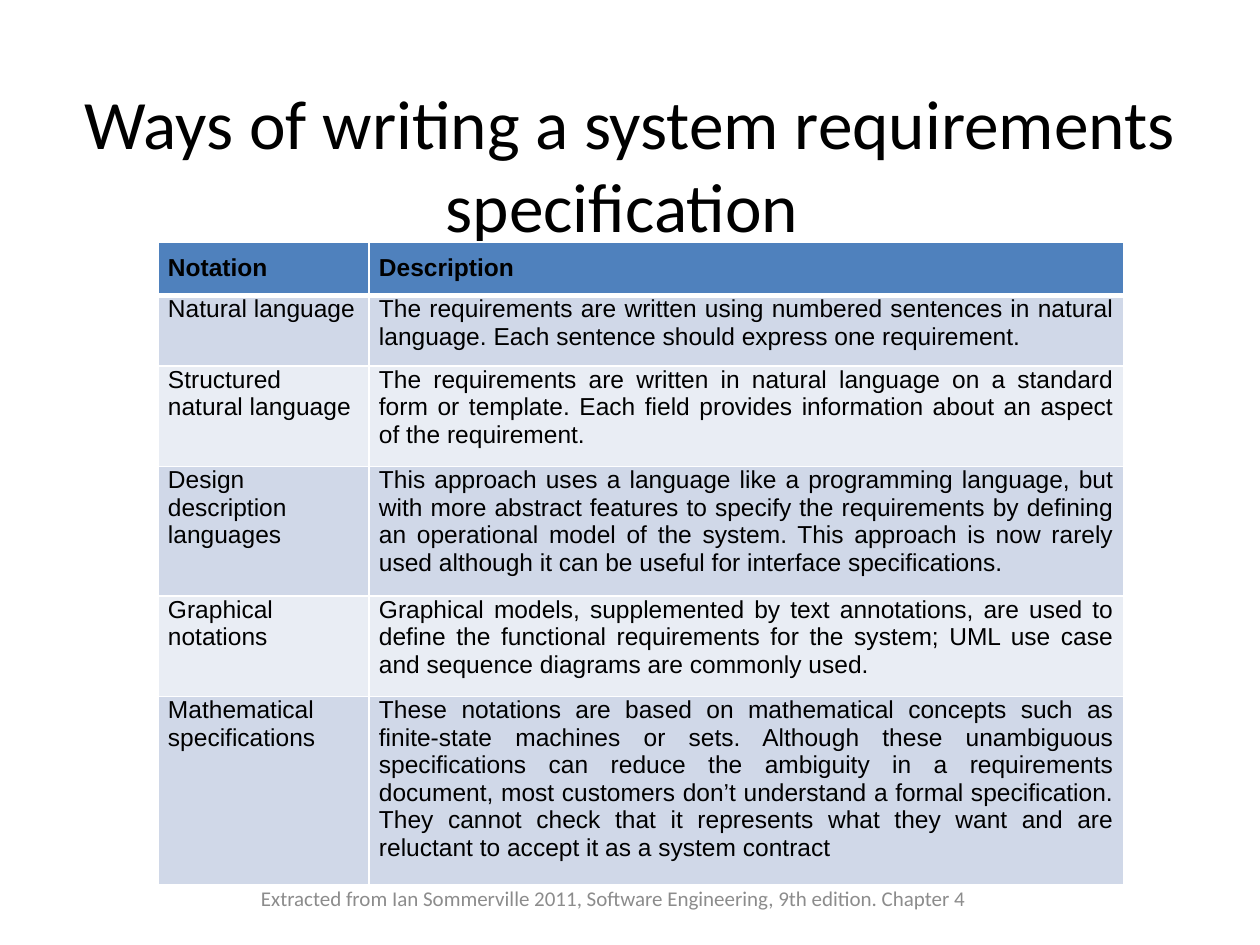
from dataclasses import dataclass

from lxml import etree
from pptx import Presentation
from pptx.dml.color import RGBColor
from pptx.enum import text
from pptx.oxml import ns
from pptx.util import Pt

SCALE = 914400 // 126


@dataclass(frozen=True)
class Theme:
    ink: str = "000000"
    muted: str = "8C8C8C"
    header: str = "4F81BD"
    bands: tuple = ("D0D8E8", "E9EDF4")
    rule: str = "FFFFFF"
    heading_font: str = "Calibri"
    table_font: str = "Arial"
    title_size: float = 39.6
    table_size: float = 14
    source_size: float = 12
    thin: float = 1
    thick: float = 3


THEME = Theme()

NOTATIONS = [
    ("Notation", "Description"),
    ("Natural language",
     "The requirements are written using numbered sentences in natural language. "
     "Each sentence should express one requirement."),
    ("Structured natural language ",
     "The requirements are written in natural language on a standard form or template. "
     "Each field provides information about an aspect of the requirement."),
    ("Design description languages",
     "This approach uses a language like a programming language, but with more abstract "
     "features to specify the requirements by defining an operational model of the system. "
     "This approach is now rarely used although it can be useful for interface specifications."),
    ("Graphical notations",
     "Graphical models, supplemented by text annotations, are used to define the functional "
     "requirements for the system; UML use case and sequence diagrams are commonly used."),
    ("Mathematical specifications",
     "These notations are based on mathematical concepts such as finite-state machines or sets. "
     "Although these unambiguous specifications can reduce the ambiguity in a requirements "
     "document, most customers don’t understand a formal specification. They cannot check that "
     "it represents what they want and are reluctant to accept it as a system contract"),
]
COLUMN_WIDTHS = (211, 755)
ROW_HEIGHTS = (53, 67, 96, 123, 95, 178)


def px(length):
    return length * SCALE


def write(frame, words, font, size, color, align, bold=False):
    frame.text = words
    paragraph = frame.paragraphs[0]
    paragraph.alignment = align
    for run in paragraph.runs:
        run.font.name = font
        run.font.size = Pt(size)
        run.font.bold = bold
        run.font.color.rgb = RGBColor.from_string(color)


def add_caption(slide, box, words, size, color):
    frame = slide.shapes.add_textbox(*map(px, box)).text_frame
    frame.word_wrap = True
    frame.vertical_anchor = text.MSO_ANCHOR.MIDDLE
    write(frame, words, THEME.heading_font, size, color, text.PP_ALIGN.CENTER)


def rule_cell(cell, top, bottom):
    properties = cell._tc.get_or_add_tcPr()
    widths = {"lnL": THEME.thin, "lnR": THEME.thin, "lnT": top, "lnB": bottom}
    for side, width in widths.items():
        line = etree.SubElement(properties, ns.qn(f"a:{side}"), w=str(Pt(width)))
        fill = etree.SubElement(line, ns.qn("a:solidFill"))
        etree.SubElement(fill, ns.qn("a:srgbClr"), val=THEME.rule)


def fill_cell(cell, words, row, column):
    is_header = row == 0
    rule_cell(cell,
              THEME.thick if row == 1 else THEME.thin,
              THEME.thick if is_header else THEME.thin)
    cell.fill.solid()
    cell.fill.fore_color.rgb = RGBColor.from_string(
        THEME.header if is_header else THEME.bands[(row - 1) % 2])
    cell.margin_left = cell.margin_right = px(10)
    cell.margin_top = px(12 if is_header else 0)
    cell.margin_bottom = px(12)
    align = text.PP_ALIGN.LEFT if is_header and column == 0 else text.PP_ALIGN.JUSTIFY
    write(cell.text_frame, words, THEME.table_font, THEME.table_size, THEME.ink,
          align, bold=is_header)


def add_notation_table(slide, left, top):
    table = slide.shapes.add_table(
        len(NOTATIONS), len(COLUMN_WIDTHS), px(left), px(top),
        px(sum(COLUMN_WIDTHS)), px(sum(ROW_HEIGHTS))).table
    for column, width in zip(table.columns, COLUMN_WIDTHS):
        column.width = px(width)
    for row, height in zip(table.rows, ROW_HEIGHTS):
        row.height = px(height)
    for row, entries in enumerate(NOTATIONS):
        for column, words in enumerate(entries):
            fill_cell(table.cell(row, column), words, row, column)


def main():
    deck = Presentation()
    deck.slide_width, deck.slide_height = px(1260), px(945)
    slide = deck.slides.add_slide(deck.slide_layouts[6])
    add_caption(slide, (63, 84, 1134, 158),
                "Ways of writing a system requirements specification ",
                THEME.title_size, THEME.ink)
    add_notation_table(slide, 158, 242)
    add_caption(slide, (199, 873, 829, 50),
                "Extracted from Ian Sommerville 2011, Software Engineering, 9th edition. Chapter 4",
                THEME.source_size, THEME.muted)
    deck.save("out.pptx")


if __name__ == "__main__":
    main()
